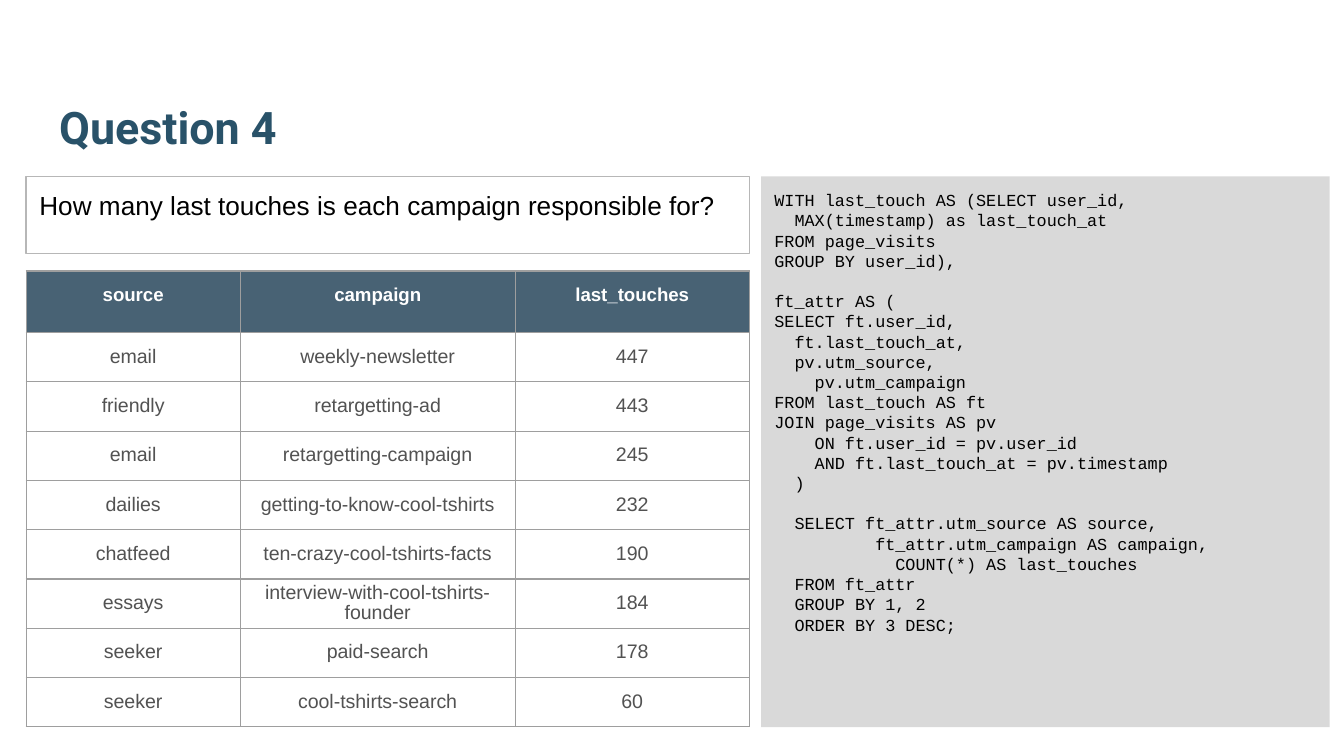
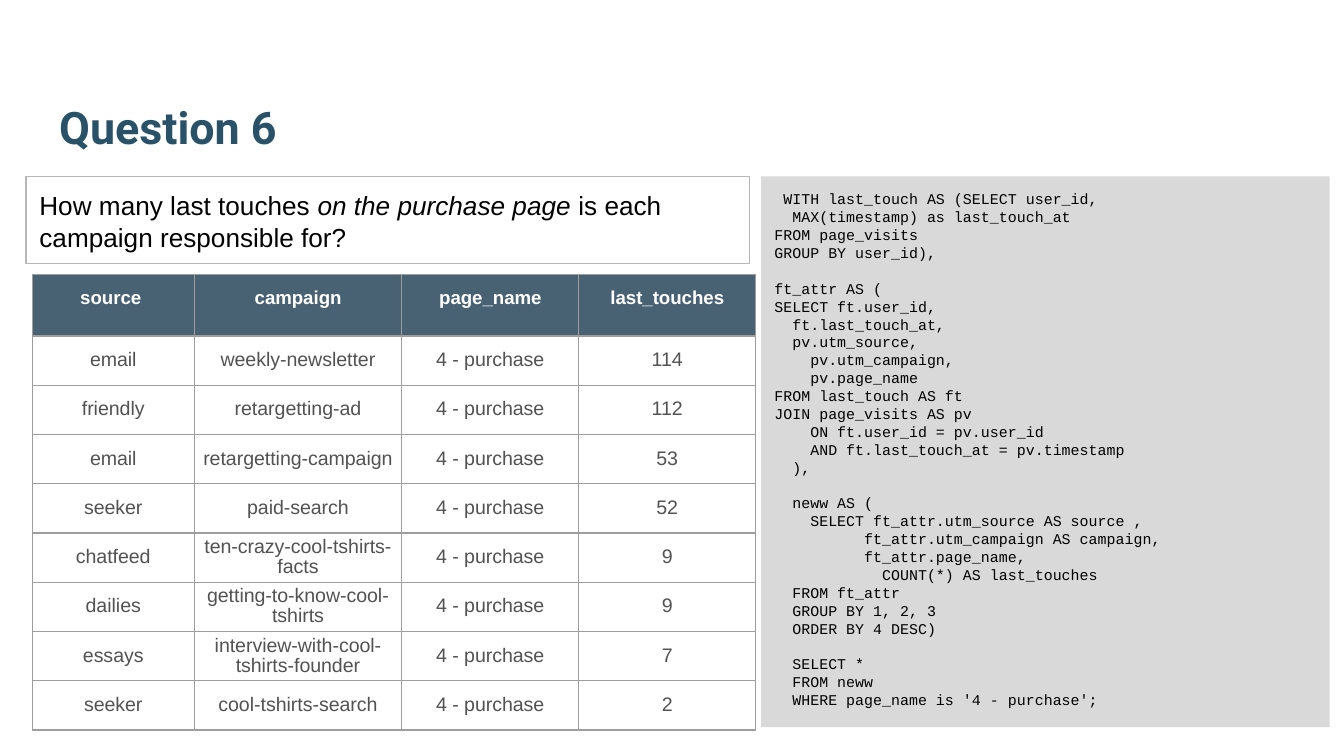
from lxml import etree
from pptx import Presentation
from pptx.dml.color import RGBColor
from pptx.enum.shapes import MSO_SHAPE
from pptx.enum.text import MSO_ANCHOR, MSO_AUTO_SIZE, PP_ALIGN
from pptx.oxml import parse_xml
from pptx.oxml.ns import nsdecls, qn
from pptx.util import Pt

RECTANGLE = MSO_SHAPE.RECTANGLE
TOP, MIDDLE, BOTTOM = MSO_ANCHOR.TOP, MSO_ANCHOR.MIDDLE, MSO_ANCHOR.BOTTOM
LEFT, CENTER = PP_ALIGN.LEFT, PP_ALIGN.CENTER
NO_FIT = MSO_AUTO_SIZE.NONE

TITLE_BLUE = RGBColor(0x29, 0x52, 0x69)
HEADER_BLUE = RGBColor(0x20, 0x40, 0x56)
WHITE = RGBColor(0xFF, 0xFF, 0xFF)
BLACK = RGBColor(0x00, 0x00, 0x00)
CELL_GREY = RGBColor(0x52, 0x52, 0x52)
CODE_GREY = RGBColor(0xD9, 0xD9, 0xD9)
FRAME_GREY = RGBColor(0xB7, 0xB7, 0xB7)
GRID_GREY = RGBColor(0x9E, 0x9E, 0x9E)

TITLE_FONT = {"name": "Roboto", "size": Pt(24), "bold": True}
QUESTION_FONT = {"name": "Arial", "size": Pt(14)}
HEADER_FONT = {"name": "Arial", "size": Pt(10), "bold": True}
CELL_FONT = {"name": "Arial", "size": Pt(10.5), "bold": False}
FRAME_MARGIN, CELL_MARGIN = 7.2, 0.72
PANEL_TOP = 94.5
HEADER_HEIGHT, ROW_HEIGHT = 33, 26.4

CODE_4 = """WITH last_touch AS (SELECT user_id,
  MAX(timestamp) as last_touch_at
FROM page_visits
GROUP BY user_id),

ft_attr AS (
SELECT ft.user_id,
  ft.last_touch_at,
  pv.utm_source,
    pv.utm_campaign
FROM last_touch AS ft
JOIN page_visits AS pv
    ON ft.user_id = pv.user_id
    AND ft.last_touch_at = pv.timestamp
  )

  SELECT ft_attr.utm_source AS source,
          ft_attr.utm_campaign AS campaign,
            COUNT(*) AS last_touches
  FROM ft_attr
  GROUP BY 1, 2
  ORDER BY 3 DESC;"""

CODE_6 = """ WITH last_touch AS (SELECT user_id,
  MAX(timestamp) as last_touch_at
FROM page_visits
GROUP BY user_id),

ft_attr AS (
SELECT ft.user_id,
  ft.last_touch_at,
  pv.utm_source,
    pv.utm_campaign,
    pv.page_name
FROM last_touch AS ft
JOIN page_visits AS pv
    ON ft.user_id = pv.user_id
    AND ft.last_touch_at = pv.timestamp
  ),

  neww AS (
    SELECT ft_attr.utm_source AS source ,
          ft_attr.utm_campaign AS campaign,
          ft_attr.page_name,
            COUNT(*) AS last_touches
  FROM ft_attr
  GROUP BY 1, 2, 3
  ORDER BY 4 DESC)

  SELECT *
  FROM neww
  WHERE page_name is '4 - purchase';"""

PURCHASE = "4 - purchase"
QUESTIONS = [
    {
        "title": "Question 4",
        "question": [("How many last touches is each campaign responsible for?", False)],
        "question_height": 41.3,
        "code": CODE_4,
        "code_size": 9,
        "table_at": (14, 145.2),
        "columns": [114.7, 147.3, 125.4],
        "rows": [
            ("source", "campaign", "last_touches"),
            ("email", "weekly-newsletter", "447"),
            ("friendly", "retargetting-ad", "443"),
            ("email", "retargetting-campaign", "245"),
            ("dailies", "getting-to-know-cool-tshirts", "232"),
            ("chatfeed", "ten-crazy-cool-tshirts-facts", "190"),
            ("essays", "interview-with-cool-tshirts-founder", "184"),
            ("seeker", "paid-search", "178"),
            ("seeker", "cool-tshirts-search", "60"),
        ],
    },
    {
        "title": "Question 6",
        "question": [
            ("How many last touches ", False),
            ("on the purchase page", True),
            (" is each campaign responsible for?", False),
        ],
        "question_height": 46.8,
        "code": CODE_6,
        "code_size": 8,
        "table_at": (17.3, 147),
        "columns": [86.8, 111.2, 94.8, 94.8],
        "rows": [
            ("source ", "campaign", "page_name", "last_touches"),
            ("email", "weekly-newsletter", PURCHASE, "114"),
            ("friendly", "retargetting-ad", PURCHASE, "112"),
            ("email", "retargetting-campaign", PURCHASE, "53"),
            ("seeker", "paid-search", PURCHASE, "52"),
            ("chatfeed", "ten-crazy-cool-tshirts-facts", PURCHASE, "9"),
            ("dailies", "getting-to-know-cool-tshirts", PURCHASE, "9"),
            ("essays", "interview-with-cool-tshirts-founder", PURCHASE, "7"),
            ("seeker", "cool-tshirts-search", PURCHASE, "2"),
        ],
    },
]


def format_font(font, values, color):
    for name, value in values.items():
        setattr(font, name, value)
    font.color.rgb = color


def set_frame(frame, anchor, margin=FRAME_MARGIN):
    for side in ("left", "top", "right", "bottom"):
        setattr(frame, f"margin_{side}", Pt(margin))
    frame.vertical_anchor = anchor


deck = Presentation()
deck.slide_width, deck.slide_height = Pt(720), Pt(405)

for item in QUESTIONS:
    page = deck.slides.add_slide(deck.slide_layouts[5])

    title = page.shapes.title
    title.left, title.top, title.width, title.height = Pt(24.5), Pt(23.4), Pt(671), Pt(66.2)
    set_frame(title.text_frame, BOTTOM)
    title.text_frame.auto_size = NO_FIT
    title.text_frame.text = item["title"]
    para = title.text_frame.paragraphs[0]
    para.alignment = LEFT
    format_font(para.font, TITLE_FONT, TITLE_BLUE)

    code_box = page.shapes.add_shape(RECTANGLE, Pt(407.8), Pt(PANEL_TOP), Pt(304.6), Pt(295))
    code_box.shadow.inherit = False
    code_box.fill.solid()
    code_box.fill.fore_color.rgb = CODE_GREY
    code_box.line.fill.background()
    set_frame(code_box.text_frame, TOP)
    code_box.text_frame.word_wrap = True
    code_font = {"name": "Courier New", "size": Pt(item["code_size"])}
    for block_index, block in enumerate(item["code"].split("\n\n")):
        for line_index, line in enumerate(block.split("\n")):
            if block_index or line_index:
                para = code_box.text_frame.add_paragraph()
            else:
                para = code_box.text_frame.paragraphs[0]
            para.alignment = LEFT
            if block_index and not line_index:
                para.space_before = Pt(item["code_size"] * 1.2)
            span = para.add_run()
            span.text = line
            format_font(span.font, code_font, BLACK)

    question_box = page.shapes.add_shape(
        RECTANGLE, Pt(14), Pt(PANEL_TOP), Pt(387.4), Pt(item["question_height"])
    )
    question_box.shadow.inherit = False
    question_box.fill.background()
    question_box.line.color.rgb = FRAME_GREY
    question_box.line.width = Pt(0.75)
    set_frame(question_box.text_frame, TOP)
    question_box.text_frame.word_wrap = True
    para = question_box.text_frame.paragraphs[0]
    para.alignment = LEFT
    for text, italic in item["question"]:
        span = para.add_run()
        span.text = text
        format_font(span.font, {**QUESTION_FONT, "italic": italic}, BLACK)

    rows, columns = item["rows"], item["columns"]
    left, top = item["table_at"]
    height = HEADER_HEIGHT + ROW_HEIGHT * (len(rows) - 1)
    table = page.shapes.add_table(
        len(rows), len(columns), Pt(left), Pt(top), Pt(sum(columns)), Pt(height)
    ).table
    table.first_row = False
    table.horz_banding = False
    for column, width in zip(table.columns, columns):
        column.width = Pt(width)
    for row_index, values in enumerate(rows):
        is_header = row_index == 0
        table.rows[row_index].height = Pt(HEADER_HEIGHT if is_header else ROW_HEIGHT)
        for column_index, value in enumerate(values):
            cell = table.cell(row_index, column_index)
            cell.text = value
            para = cell.text_frame.paragraphs[0]
            para.alignment = CENTER
            span = para.runs[0]
            properties = cell._tc.get_or_add_tcPr()
            if is_header:
                set_frame(cell, TOP)
                format_font(span.font, HEADER_FONT, WHITE)
                cell.fill.solid()
                cell.fill.fore_color.rgb = HEADER_BLUE
                color = properties.find(qn("a:solidFill")).find(qn("a:srgbClr"))
                etree.SubElement(color, qn("a:alpha"), val="82000")
            else:
                set_frame(cell, MIDDLE, CELL_MARGIN)
                para.line_spacing = 0.92
                format_font(span.font, CELL_FONT, CELL_GREY)
                cell.fill.background()
            for position, edge in enumerate(("lnL", "lnR", "lnT", "lnB")):
                border = parse_xml(
                    f'<a:{edge} {nsdecls("a")} w="{Pt(0.75)}"><a:solidFill>'
                    f'<a:srgbClr val="{GRID_GREY}"/></a:solidFill></a:{edge}>'
                )
                properties.insert(position, border)

deck.save("out.pptx")
